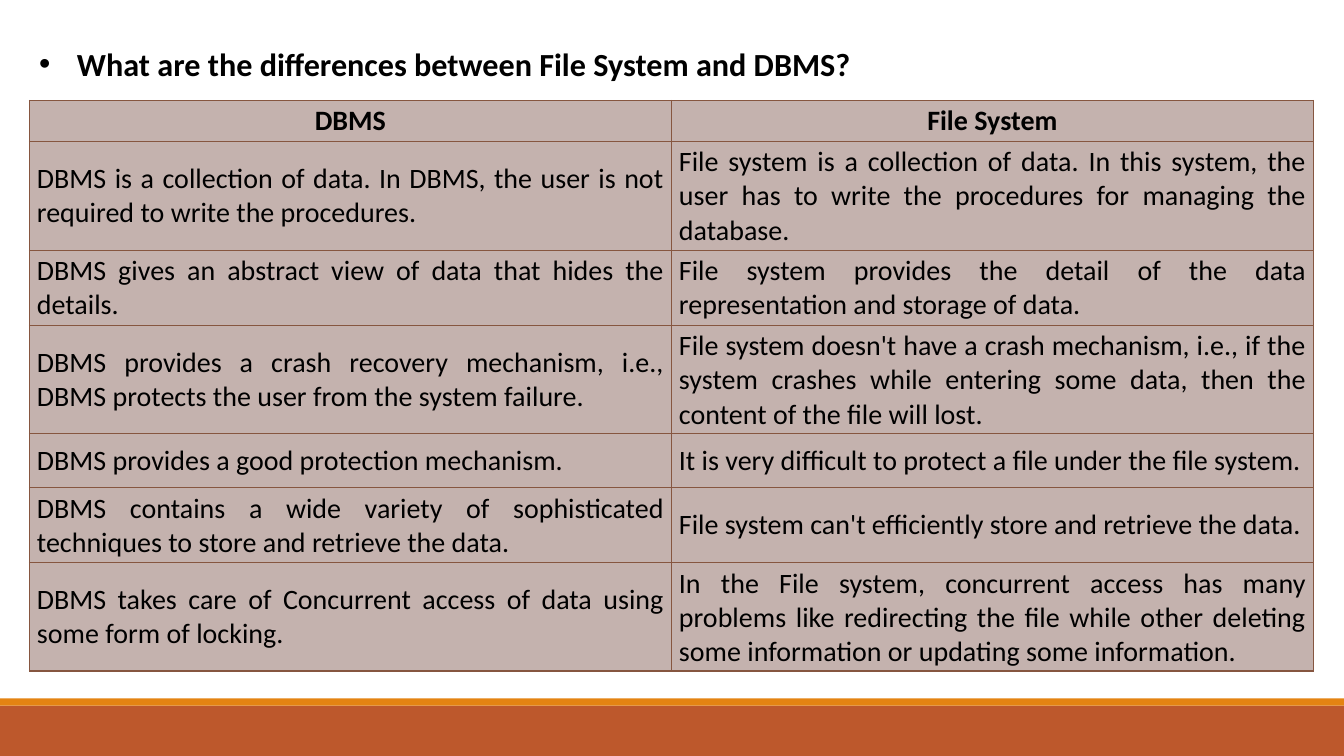
from lxml import etree
from pptx import Presentation
from pptx import util as u
from pptx.dml.color import RGBColor
from pptx.enum import shapes, text
from pptx.oxml import ns

COLORS = {
    "text": "000000",
    "cell": "C4B2AE",
    "border": "865640",
    "band": "BD582C",
    "stripe": "E48312",
}
FONT = "Calibri"
SLIDE_W, SLIDE_H = 33.87, 19.05
LEFT, COL_W = 0.74, 16.18
ROW_HEIGHTS = [1.03, 2.75, 1.89, 2.73, 1.36, 1.89, 2.73]

ROWS = [
    ("DBMS", "File System"),
    ("DBMS is a collection of data. In DBMS, the user is not required to write the procedures.",
     "File system is a collection of data. In this system, the user has to write the "
     "procedures for managing the database."),
    ("DBMS gives an abstract view of data that hides the details.",
     "File system provides the detail of the data representation and storage of data."),
    ("DBMS provides a crash recovery mechanism, i.e., DBMS protects the user from the "
     "system failure.",
     "File system doesn't have a crash mechanism, i.e., if the system crashes while "
     "entering some data, then the content of the file will lost."),
    ("DBMS provides a good protection mechanism.",
     "It is very difficult to protect a file under the file system."),
    ("DBMS contains a wide variety of sophisticated techniques to store and retrieve the data.",
     "File system can't efficiently store and retrieve the data."),
    ("DBMS takes care of Concurrent access of data using some form of locking.",
     "In the File system, concurrent access has many problems like redirecting the file "
     "while other deleting some information or updating some information."),
]


def rgb(name):
    return RGBColor.from_string(COLORS[name])


def style_paragraph(p, size, bold, align):
    p.alignment = align
    p.font.name = FONT
    p.font.size = u.Pt(size)
    p.font.bold = bold
    p.font.color.rgb = rgb("text")


def add_bar(slide, top, height, color):
    sp = slide.shapes.add_shape(shapes.MSO_SHAPE.RECTANGLE, 0, u.Cm(top),
                                u.Cm(SLIDE_W), u.Cm(height))
    sp.shadow.inherit = False
    sp.fill.solid()
    sp.fill.fore_color.rgb = rgb(color)
    sp.line.fill.background()


def add_bullet_heading(slide, heading):
    sp = slide.shapes.add_textbox(u.Cm(LEFT), u.Cm(0.99), u.Cm(2 * COL_W), u.Cm(1.24))
    tf = sp.text_frame
    tf.word_wrap = True
    tf.auto_size = text.MSO_AUTO_SIZE.SHAPE_TO_FIT_TEXT
    p = tf.paragraphs[0]
    p.text = heading
    style_paragraph(p, 23, True, text.PP_ALIGN.JUSTIFY)
    # Hanging bullet
    pPr = p._p.get_or_add_pPr()
    indent = u.Cm(0.95)
    pPr.set("marL", str(indent))
    pPr.set("indent", str(-indent))
    bullet_font = etree.Element(ns.qn("a:buFont"), typeface="Arial")
    bullet = etree.Element(ns.qn("a:buChar"), char="•")
    pPr.insert(0, bullet_font)
    pPr.insert(1, bullet)


def add_borders(cell):
    tcPr = cell._tc.get_or_add_tcPr()
    for side in ("lnL", "lnR", "lnT", "lnB"):
        ln = etree.SubElement(tcPr, ns.qn(f"a:{side}"), w=str(u.Pt(1)))
        fill = etree.SubElement(ln, ns.qn("a:solidFill"))
        etree.SubElement(fill, ns.qn("a:srgbClr"), val=COLORS["border"])


def fill_cell(cell, content, header):
    add_borders(cell)
    cell.fill.solid()
    cell.fill.fore_color.rgb = rgb("cell")
    cell.vertical_anchor = text.MSO_ANCHOR.MIDDLE
    cell.margin_left = cell.margin_right = u.Cm(0.19)
    cell.margin_top = cell.margin_bottom = u.Cm(0.09)
    p = cell.text_frame.paragraphs[0]
    p.text = content
    align = text.PP_ALIGN.CENTER if header else text.PP_ALIGN.JUSTIFY
    style_paragraph(p, 20, header, align)


def add_comparison_table(slide):
    frame = slide.shapes.add_table(len(ROWS), 2, u.Cm(LEFT), u.Cm(2.53),
                                   u.Cm(2 * COL_W), u.Cm(sum(ROW_HEIGHTS)))
    table = frame.table
    table.horz_banding = False
    for col in table.columns:
        col.width = u.Cm(COL_W)
    for i, (height, contents) in enumerate(zip(ROW_HEIGHTS, ROWS)):
        table.rows[i].height = u.Cm(height)
        for j, content in enumerate(contents):
            fill_cell(table.cell(i, j), content, header=i == 0)


def main():
    prs = Presentation()
    prs.slide_width, prs.slide_height = u.Cm(SLIDE_W), u.Cm(SLIDE_H)
    slide = prs.slides.add_slide(prs.slide_layouts[6])

    # Footer bars
    add_bar(slide, 17.78, 1.27, "band")
    add_bar(slide, 17.6, 0.18, "stripe")

    # Heading and comparison
    add_bullet_heading(slide, "What are the differences between File System and DBMS?")
    add_comparison_table(slide)

    prs.save("out.pptx")


if __name__ == "__main__":
    main()
